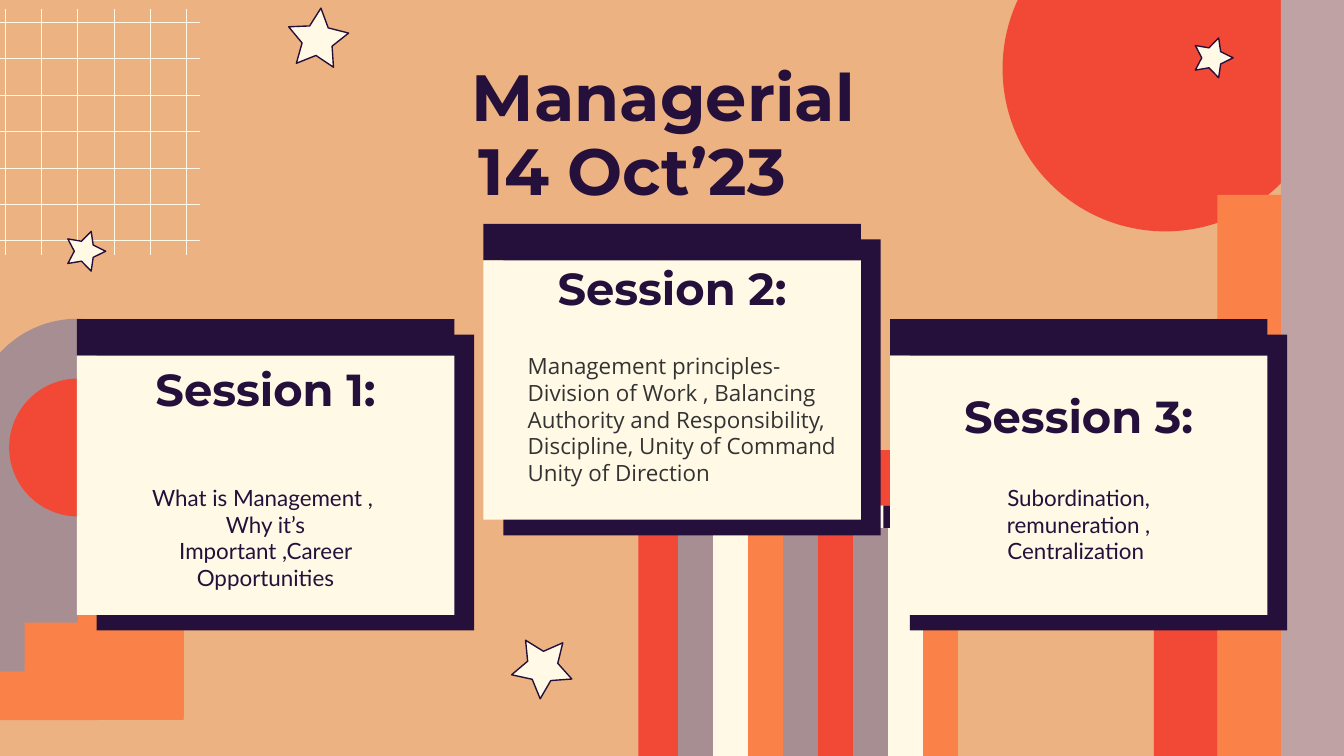
from dataclasses import dataclass
from math import cos, pi, radians, sin

from lxml.etree import SubElement
from pptx import Presentation
from pptx.dml.color import RGBColor
from pptx.enum.shapes import MSO_CONNECTOR, MSO_SHAPE
from pptx.enum.text import MSO_ANCHOR, PP_ALIGN
from pptx.oxml.ns import qn
from pptx.util import Pt


@dataclass(frozen=True)
class Theme:
    """Colours, fonts and type sizes of the slide."""

    sand: str = "ECB281"
    cream: str = "FFF9E5"
    ink: str = "25103B"
    red: str = "F14936"
    orange: str = "FA8147"
    mauve: str = "A78E92"
    rose: str = "BFA2A4"
    grey: str = "333333"
    heading_font: str = "Montserrat"
    body_font: str = "Lato"
    list_font: str = "Open Sans"
    title_size: float = 35
    heading_size: float = 24
    body_size: float = 12


THEME = Theme()


def paint(shape, color, outline=None):
    """Give a shape a flat fill, an optional thin outline and no shadow."""
    shape.shadow.inherit = False
    shape.fill.solid()
    shape.fill.fore_color.rgb = RGBColor.from_string(color)
    if outline:
        shape.line.color.rgb = RGBColor.from_string(outline)
        shape.line.width = Pt(0.75)
    else:
        shape.line.fill.background()


def add_block(slide, left, top, width, height, color, kind=MSO_SHAPE.RECTANGLE):
    """Add a filled preset shape."""
    shape = slide.shapes.add_shape(kind, Pt(left), Pt(top), Pt(width), Pt(height))
    paint(shape, color)
    return shape


def add_polygon(slide, points, color, outline=None):
    """Add a closed outline through the given points."""
    corners = [(Pt(x), Pt(y)) for x, y in points]
    builder = slide.shapes.build_freeform(*corners[0], scale=1)
    builder.add_line_segments(corners[1:], close=True)
    paint(builder.convert_to_shape(), color, outline)


def add_star(slide, center_x, center_y, radius, turn):
    """Add an outlined five-pointed star turned clockwise by some degrees."""
    points = []
    for index in range(10):
        reach = radius if index % 2 == 0 else radius / 2
        angle = radians(turn) + index * pi / 5
        points.append((center_x + reach * sin(angle), center_y - reach * cos(angle)))
    add_polygon(slide, points, THEME.cream, THEME.ink)


def add_rule(slide, start_x, start_y, end_x, end_y):
    """Add a hairline of the corner grid."""
    line = slide.shapes.add_connector(
        MSO_CONNECTOR.STRAIGHT, Pt(start_x), Pt(start_y), Pt(end_x), Pt(end_y)
    )
    line.line.color.rgb = RGBColor.from_string(THEME.cream)
    line.line.width = Pt(0.5)
    SubElement(line._element.spPr, qn("a:effectLst"))


def add_hard_shadow(shape):
    """Cast a solid ink shadow towards the lower right."""
    effects = shape._element.spPr.find(qn("a:effectLst"))
    shadow = SubElement(
        effects, qn("a:outerShdw"), dist=str(Pt(13.5)), dir=str(38 * 60000),
        algn="bl", rotWithShape="0",
    )
    SubElement(shadow, qn("a:srgbClr"), val=THEME.ink)


def add_text(slide, text, left, top, width, height, *, font=THEME.body_font,
             size=THEME.body_size, color=THEME.ink, bold=False, align=PP_ALIGN.CENTER,
             anchor=MSO_ANCHOR.TOP, indent=0, spacing=None):
    """Add a wrapped text box with one paragraph for each line of text."""
    box = slide.shapes.add_textbox(Pt(left), Pt(top), Pt(width), Pt(height))
    frame = box.text_frame
    frame.word_wrap = True
    frame.vertical_anchor = anchor
    frame.margin_top = frame.margin_right = frame.margin_bottom = Pt(7.2)
    frame.margin_left = Pt(7.2 + indent)
    frame.text = text
    for paragraph in frame.paragraphs:
        paragraph.alignment = align
        if spacing:
            paragraph.line_spacing = Pt(spacing)
        for run in paragraph.runs:
            run.font.name = font
            run.font.size = Pt(size)
            run.font.bold = bold
            run.font.color.rgb = RGBColor.from_string(color)


def add_title(slide, text, left, top, width):
    """Add one line of the slide title."""
    add_text(slide, text, left, top, width, 45.4, font=THEME.heading_font,
             size=THEME.title_size, bold=True)


def add_heading(slide, text, left, top):
    """Add the heading of a session card."""
    add_text(slide, text, left, top, 143.3, 41.8, font=THEME.heading_font,
             size=THEME.heading_size, bold=True, anchor=MSO_ANCHOR.BOTTOM)


def add_card(slide, left, top):
    """Add a session card with a dark bar above a cream panel."""
    add_hard_shadow(add_block(slide, left, top, 202.2, 19.6, THEME.ink))
    add_hard_shadow(add_block(slide, left, top + 19.6, 202.2, 139, THEME.cream))


def add_stripes(slide):
    """Add the striped column with its two cap rows."""
    left, top, width, step = 342, 270.7, 21.2, 18.75
    tall = [THEME.red, THEME.mauve, THEME.cream, THEME.orange, THEME.mauve,
            THEME.red, THEME.mauve, THEME.cream, THEME.orange]
    caps = [THEME.ink, THEME.cream, THEME.ink, THEME.red, THEME.mauve,
            THEME.orange, THEME.cream, THEME.ink]
    for index, color in reversed(list(enumerate(tall))):
        add_block(slide, left + index * step, top, width, 136.5, color)
    for index, color in enumerate(caps):
        add_block(slide, left + index * step, top, width, 12.2, color)
    add_block(slide, 463, 241.2, 50.4, 29.5, THEME.red)
    add_block(slide, 422.6, 241.2, 40.4, 29.5, THEME.ink)


def add_arch(slide):
    """Add the arch with its disc and staircase."""
    arch = add_block(slide, -15.1, 170.8, 113.4, 213.5, THEME.mauve,
                     MSO_SHAPE.ROUND_2_SAME_RECTANGLE)
    arch.adjustments[0] = 0.5
    add_block(slide, 4.9, 202.8, 73.9, 73.9, THEME.red, MSO_SHAPE.OVAL)
    left, right, top, bottom, run, rise = -15.1, 98.4, 281.4, 385.7, 28.4, 26.1
    points = [(right, bottom), (right, top)]
    for index in range(4):
        x = left + (3 - index) * run
        y = top + index * rise
        points += [(x, y), (x, y + rise)]
    add_polygon(slide, points, THEME.orange)


def add_scenery(slide):
    """Add the decoration behind the cards."""
    add_stripes(slide)
    add_block(slide, 537.1, -50.4, 174.4, 174.4, THEME.red, MSO_SHAPE.OVAL)
    add_arch(slide)
    columns = [(686.2, 0, THEME.rose), (652.2, 104.4, THEME.orange), (618.2, 251.3, THEME.red)]
    for left, top, color in columns:
        add_block(slide, left, top, 34, 405 - top, color)
    for index in range(6):
        add_rule(slide, 2.9 + index * 19.4, 4.6, 2.9 + index * 19.4, 136.7)
    for index in range(7):
        add_rule(slide, 0, 12 + index * 19.5, 107.2, 12 + index * 19.5)
    stars = [(45.4, 134.6, 11.2, 18), (290.6, 357.4, 17, 40),
             (649.4, 31, 11.2, 18), (170.2, 21.3, 17, 6)]
    for star in stars:
        add_star(slide, *star)


def main():
    """Build and save the slide."""
    presentation = Presentation()
    presentation.slide_width, presentation.slide_height = Pt(720), Pt(405)
    slide = presentation.slides.add_slide(presentation.slide_layouts[6])
    slide.background.fill.solid()
    slide.background.fill.fore_color.rgb = RGBColor.from_string(THEME.sand)
    add_scenery(slide)
    for left, top in [(476.8, 170.9), (259, 119.9), (41.2, 170.9)]:
        add_card(slide, left, top)
    add_title(slide, "Managerial ", 56.9, 23, 607)
    add_title(slide, "14 Oct’23", 99.4, 62.6, 478.8)
    add_heading(slide, "Session 1:", 70.6, 187.9)
    add_heading(slide, "Session 2:", 288.4, 133.9)
    add_heading(slide, "Session 3:", 506.2, 202.3)
    add_text(slide, "What is Management , \nWhy it’s Important ,Career Opportunities",
             70.6, 252, 143.3, 57.6)
    add_text(slide, "Management principles-\nDivision of Work , Balancing\n"
             "Authority and Responsibility,\nDiscipline, Unity of Command\nUnity of Direction",
             263.5, 181.7, 193.7, 111.6, font=THEME.list_font, color=THEME.grey,
             align=PP_ALIGN.LEFT, indent=12, spacing=14.3)
    add_text(slide, "Subordination, remuneration , Centralization ", 506.2, 252, 143.3, 57.6)
    presentation.save("out.pptx")


if __name__ == "__main__":
    main()
